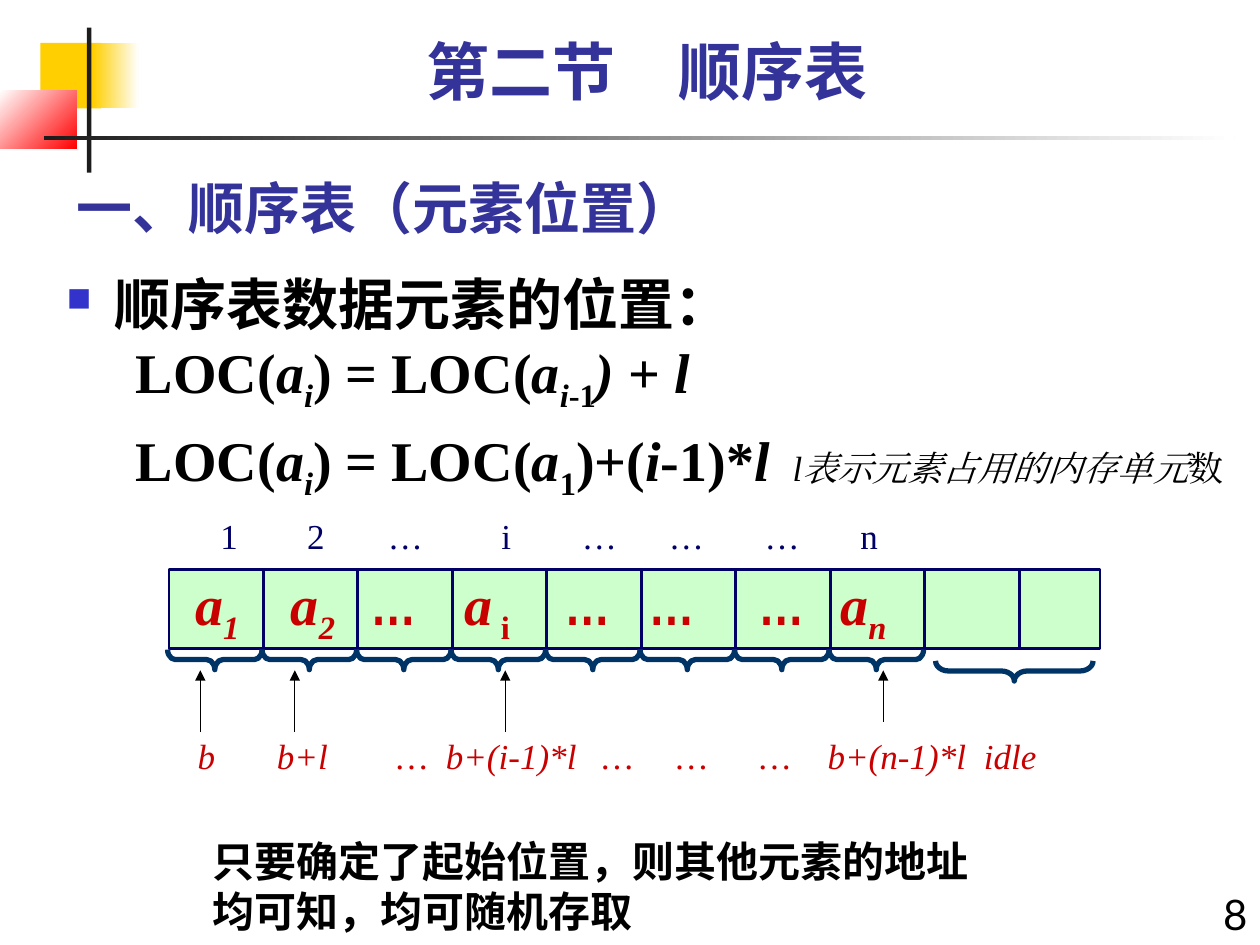
from dataclasses import dataclass, replace

from lxml.etree import SubElement
from pptx import Presentation
from pptx.dml.color import RGBColor
from pptx.enum.shapes import MSO_CONNECTOR, MSO_SHAPE
from pptx.enum.text import MSO_ANCHOR, PP_ALIGN
from pptx.oxml.ns import qn
from pptx.util import Inches, Pt

YELLOW = RGBColor(0xFF, 0xCF, 0x01)
WHITE = RGBColor(0xFF, 0xFF, 0xFF)
RED = RGBColor(0xFF, 0x00, 0x00)
CHARCOAL = RGBColor(0x1C, 0x1C, 0x1C)
INDIGO = RGBColor(0x33, 0x33, 0x99)
BULLET_BLUE = RGBColor(0x33, 0x33, 0xCC)
BLACK = RGBColor(0x00, 0x00, 0x00)
MINT = RGBColor(0xCC, 0xFF, 0xCC)
NAVY = RGBColor(0x00, 0x00, 0x66)
BRACE_BLUE = RGBColor(0x00, 0x33, 0x66)
CRIMSON = RGBColor(0xC8, 0x00, 0x00)
ELLIPSIS_RED = RGBColor(0xCC, 0x00, 0x00)

SERIF, SANS, CHINESE = "Times New Roman", "Lato", "Noto Sans CJK SC"
COLUMNS, ROWS = 100, 75
UNIT = Inches(0.1)
ARRAY_LEFT, ARRAY_TOP, ARRAY_WIDTH, ARRAY_HEIGHT = 13.4, 45.2, 73.9, 6.3
CELL = 7.5


@dataclass(frozen=True)
class Style:
    """Look of a run of text."""

    size: float
    color: RGBColor
    font: str = SERIF
    bold: bool = False
    italic: bool = False
    subscript: bool = False


def grid(*lengths):
    """Turn grid columns and rows into slide lengths."""
    return [round(length * UNIT) for length in lengths]


def add_run(paragraph, text, style):
    """Append a formatted run to a paragraph."""
    run = paragraph.add_run()
    run.text = text
    run.font.size, run.font.name = Pt(style.size), style.font
    run.font.bold, run.font.italic = style.bold, style.italic
    run.font.color.rgb = style.color
    properties = run._r.get_or_add_rPr()
    SubElement(properties, qn("a:ea"), typeface=style.font)
    if style.subscript:
        properties.set("baseline", "-25000")


def add_text(slide, box, text, style, align=PP_ALIGN.LEFT, anchor=MSO_ANCHOR.TOP):
    """Add a wrapping text box and return its first paragraph."""
    text_frame = slide.shapes.add_textbox(*grid(*box)).text_frame
    text_frame.word_wrap = True
    text_frame.vertical_anchor = anchor
    paragraph = text_frame.paragraphs[0]
    paragraph.alignment = align
    if text:
        add_run(paragraph, text, style)
    return paragraph


def add_block(slide, box, color, end_color=None, angle=0):
    """Add a borderless rectangle with a solid or gradient fill."""
    block = slide.shapes.add_shape(MSO_SHAPE.RECTANGLE, *grid(*box))
    block.shadow.inherit = False
    block.line.fill.background()
    if end_color is None:
        block.fill.solid()
        block.fill.fore_color.rgb = color
    else:
        block.fill.gradient()
        block.fill.gradient_angle = angle
        for stop, stop_color in zip(block.fill.gradient_stops, (color, end_color)):
            stop.color.rgb = stop_color
    return block


def add_line(slide, ends, color, width, arrow=False):
    """Add a straight line, with an arrowhead at its end if wanted."""
    line = slide.shapes.add_connector(MSO_CONNECTOR.STRAIGHT, *grid(*ends))
    line.line.color.rgb = color
    line.line.width = Pt(width)
    if arrow:
        SubElement(line.line._get_or_add_ln(), qn("a:tailEnd"), type="triangle")
    SubElement(line._element.spPr, qn("a:effectLst"))


def add_brace(slide, center, middle, length, curve):
    """Add a brace that opens upwards."""
    depth = 1.6
    box = grid(center - depth / 2, middle - length / 2, depth, length)
    brace = slide.shapes.add_shape(MSO_SHAPE.LEFT_BRACE, *box)
    brace.rotation = 270
    brace.adjustments[0], brace.adjustments[1] = curve, 0.5
    brace.shadow.inherit = False
    brace.fill.background()
    brace.line.color.rgb = BRACE_BLUE
    brace.line.width = Pt(3)


def set_tabs(paragraph, left, stops):
    """Set tab stops given as slide columns for text starting at left."""
    tab_list = SubElement(paragraph._p.get_or_add_pPr(), qn("a:tabLst"))
    for position in grid(*(stop - left for stop in stops)):
        SubElement(tab_list, qn("a:tab"), pos=str(position), algn="l")


def add_label_row(slide, box, labels, stops, style, line_size):
    """Add one line of labels, each at its own tab stop."""
    paragraph = add_text(slide, box, "", style)
    set_tabs(paragraph, box[0] + 1, stops)
    add_run(paragraph, "\t", replace(style, size=line_size, bold=True))
    add_run(paragraph, "\t".join(labels), style)


def add_formula(paragraph, pieces, style):
    """Write pieces marked i for italic and _ for subscript."""
    for text, marks in pieces:
        add_run(paragraph, text, replace(style, italic="i" in marks, subscript="_" in marks))


def set_indent(paragraph, margin, first=0):
    """Set the left margin and first-line indent of a paragraph."""
    properties = paragraph._p.get_or_add_pPr()
    for name, length in zip(("marL", "indent"), grid(margin, first)):
        properties.set(name, str(length))


def add_bullet(paragraph):
    """Give a paragraph a small blue square bullet."""
    properties = paragraph._p.get_or_add_pPr()
    color = SubElement(properties, qn("a:buClr"))
    SubElement(color, qn("a:srgbClr"), val=str(BULLET_BLUE))
    SubElement(properties, qn("a:buSzPct"), val="60000")
    SubElement(properties, qn("a:buChar"), char="■")


def add_decoration(slide):
    """Add the coloured corner and the rules around the title."""
    add_block(slide, (3.2, 3.4, 4.8, 5.2), YELLOW)
    add_block(slide, (7.4, 3.4, 3.6, 5.2), YELLOW, WHITE)
    add_block(slide, (0, 7.2, 6.1, 4.6), WHITE, RED, 315)
    add_block(slide, (6.9, 2.2, 0.35, 11.5), CHARCOAL)
    add_block(slide, (3.5, 10.8, 94.5, 0.35), CHARCOAL, WHITE)


def add_body(slide):
    """Add the bullet and the two location formulas."""
    heading = Style(32, BLACK, CHINESE, bold=True)
    formula = replace(heading, font=SERIF)
    first = add_text(slide, (4.3, 20.4, 95.8, 43.3), "顺序表数据元素的位置：", heading)
    first.line_spacing = 1.1
    set_indent(first, 3.8, -3.8)
    add_bullet(first)
    start = [("LOC(", ""), ("a", "i"), ("i", "i_"), (") = LOC(", ""), ("a", "i")]
    endings = (
        [("i", "i_"), ("-1", "_"), (") ", "i"), ("+ ", ""), ("l", "i")],
        [("1", "_"), (")+(", ""), ("i", "i"), ("-1)*", ""), ("l ", "i")],
    )
    for ending, space in zip(endings, (0, 7)):
        paragraph = first._parent.add_paragraph()
        paragraph.space_before = Pt(space)
        set_indent(paragraph, 5.5)
        add_formula(paragraph, start + ending, formula)
    note = Style(20, BLACK, italic=True)
    add_run(paragraph, " l表示元素占用的内存单元", note)
    add_run(paragraph, "数", replace(note, italic=False))


def add_array(slide):
    """Add the array cells with their values and dividers."""
    array = add_block(slide, (ARRAY_LEFT, ARRAY_TOP, ARRAY_WIDTH, ARRAY_HEIGHT), MINT)
    array.line.color.rgb = NAVY
    array.line.width = Pt(1.5)
    text_frame = array.text_frame
    text_frame.word_wrap = True
    text_frame.margin_top = 0
    text_frame.vertical_anchor = MSO_ANCHOR.TOP
    paragraph = text_frame.paragraphs[0]
    paragraph.alignment = PP_ALIGN.LEFT
    set_tabs(paragraph, ARRAY_LEFT + 1, (15.5, 23.1, 29.4, 36.9, 44.8, 51.5, 60.2, 66.7))
    letter = Style(32, CRIMSON, bold=True, italic=True)
    ellipsis = Style(32, ELLIPSIS_RED, "Arial Narrow", bold=True)
    for index in ("1", "2", "…", " i", "…", "…", "…", "n"):
        if index == "…":
            add_run(paragraph, "\t…", ellipsis)
        else:
            add_run(paragraph, "\ta", letter)
            add_run(paragraph, index, replace(letter, subscript=True, italic=index != " i"))
    for number in range(1, 10):
        column = ARRAY_LEFT + number * CELL
        add_line(slide, (column, ARRAY_TOP, column, ARRAY_TOP + 6.4), NAVY, 1.5)


def add_addresses(slide):
    """Add positions above the array, braces, arrows and addresses below."""
    add_label_row(slide, (14.3, 38.7, 59.2, 6.3), "1 2 … i … … … n".split(),
                  (17.5, 24.4, 30.8, 39.8, 46.2, 53.1, 60.7, 68.3), Style(20, NAVY), 32)
    for number in range(8):
        add_brace(slide, ARRAY_LEFT + (number + 0.5) * CELL - 0.1, 52.35, CELL, 0.39)
    add_brace(slide, 80.5, 53.25, 12.5, 0.65)
    add_label_row(slide, (10.9, 55.6, 76.7, 7),
                  "b b+l … b+(i-1)*l … … … b+(n-1)*l idle".split(),
                  (15.7, 22, 31.5, 35.4, 47.8, 53.7, 60.3, 65.7, 78.1),
                  Style(20, CRIMSON, italic=True), 36)
    for column, bottom in ((70.1, 57.3), (40.1, 58.1), (15.9, 58.1), (23.4, 58.1)):
        add_line(slide, (column, bottom, column, 53.2), BLACK, 0.75, arrow=True)


def main():
    """Build the sequential list slide."""
    presentation = Presentation()
    presentation.slide_width, presentation.slide_height = grid(COLUMNS, ROWS)
    slide = presentation.slides.add_slide(presentation.slide_layouts[6])
    add_decoration(slide)
    add_text(slide, (5.1, 12.1, 62.5, 7.5), "一、顺序表（元素位置）",
             Style(32, INDIGO, CHINESE, bold=True), anchor=MSO_ANCHOR.BOTTOM)
    add_text(slide, (93.3, 70, 6.7, 5), "8", Style(24, BLACK, SANS), PP_ALIGN.RIGHT)
    add_text(slide, (5.1, 2.1, 92.5, 7), "第二节　顺序表",
             Style(36, INDIGO, SANS, bold=True), PP_ALIGN.CENTER)
    add_body(slide)
    add_array(slide)
    add_addresses(slide)
    add_text(slide, (15.9, 65.8, 63.2, 9.1), "只要确定了起始位置，则其他元素的地址均可知，均可随机存取",
             Style(24, BLACK, SANS, bold=True))
    presentation.save("out.pptx")


if __name__ == "__main__":
    main()
